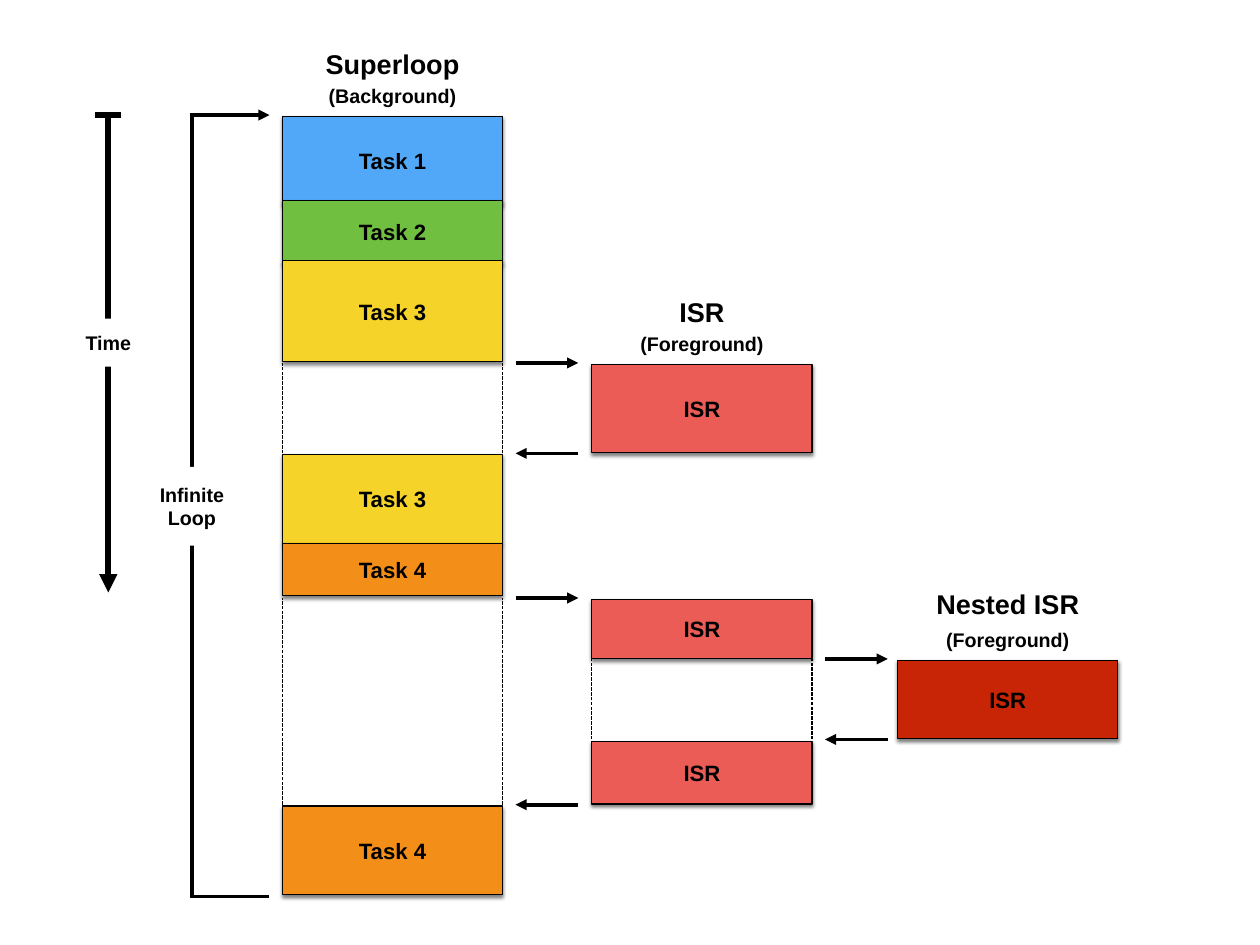
from dataclasses import dataclass

from lxml.etree import SubElement
from pptx import Presentation
from pptx.dml.color import RGBColor as RGB
from pptx.enum.dml import MSO_LINE as DASH
from pptx.enum.shapes import MSO_CONNECTOR as CONN, MSO_SHAPE as SHAPE
from pptx.enum.text import MSO_ANCHOR as ANCHOR, PP_ALIGN as ALIGN
from pptx.oxml.ns import qn
from pptx.util import Pt


@dataclass(frozen=True)
class Theme:
    font: str = "Arial"
    ink: str = "000000"
    paper: str = "FFFFFF"
    blue: str = "51A8F9"
    green: str = "70BF41"
    yellow: str = "F5D328"
    orange: str = "F38F18"
    red: str = "EC5C57"
    dark_red: str = "C82506"
    title: int = 22
    task: int = 18
    note: int = 16


theme = Theme()
prs = Presentation()
prs.slide_width, prs.slide_height = Pt(1024), Pt(768)
s = prs.slides.add_slide(prs.slide_layouts[6])


def add_label(x, y, w, h, text, size, fill=None):
    """Centred bold text, in a filled rectangle or a plain text box."""
    box = [Pt(v) for v in (x, y, w, h)]
    if fill:
        sp = s.shapes.add_shape(SHAPE.RECTANGLE, *box)
        sp.shadow.inherit = False
        sp.fill.solid()
        sp.fill.fore_color.rgb = RGB.from_string(fill)
        sp.line.fill.background()
    else:
        sp = s.shapes.add_textbox(*box)
    tf = sp.text_frame
    tf.word_wrap = True
    tf.vertical_anchor = ANCHOR.MIDDLE
    tf.margin_left = tf.margin_right = tf.margin_top = tf.margin_bottom = Pt(4)
    tf.text = text
    p = tf.paragraphs[0]
    p.alignment = ALIGN.CENTER
    font = p.runs[0].font
    font.name, font.size, font.bold = theme.font, Pt(size), True
    font.color.rgb = RGB.from_string(theme.ink)
    return sp


def add_line(x1, y1, x2, y2, width, arrow=False, dash=None):
    """Straight line; the arrowhead, if any, sits at the second point."""
    c = s.shapes.add_connector(CONN.STRAIGHT, Pt(x1), Pt(y1), Pt(x2), Pt(y2))
    c.line.width = Pt(width)
    c.line.color.rgb = RGB.from_string(theme.ink)
    if dash:
        c.line.dash_style = dash
    sp_pr = c.element.spPr
    if arrow:
        SubElement(sp_pr.find(qn("a:ln")), qn("a:tailEnd"), type="triangle")
    SubElement(sp_pr, qn("a:effectLst"))


# Columns: left edges and the shared block width
background, foreground, nested = 229.5, 481, 729.5
block_w = 179

# Task and ISR blocks: column, top, height, label, fill
blocks = [
    (background, 94.5, 72, "Task 1", theme.blue),
    (background, 163, 51, "Task 2", theme.green),
    (background, 212, 82, "Task 3", theme.yellow),
    (background, 369.5, 72, "Task 3", theme.yellow),
    (background, 441.5, 42.5, "Task 4", theme.orange),
    (background, 655, 72, "Task 4", theme.orange),
    (foreground, 296, 72, "ISR", theme.red),
    (foreground, 487, 48, "ISR", theme.red),
    (foreground, 602.5, 51, "ISR", theme.red),
    (nested, 536.5, 64, "ISR", theme.dark_red),
]
for x, y, h, text, fill in blocks:
    sp = add_label(x, y, block_w, h, text, theme.task, fill)
    sp.line.width = Pt(1)
    sp.line.color.rgb = RGB.from_string(theme.ink)
    effects = sp.element.spPr.find(qn("a:effectLst"))
    shadow = SubElement(effects, qn("a:outerShdw"), blurRad=str(Pt(3)),
                        dist=str(Pt(2)), dir="5400000", rotWithShape="0")
    color = SubElement(shadow, qn("a:srgbClr"), val=theme.ink)
    SubElement(color, qn("a:alpha"), val="50000")

# Column headings: column, title top, subtitle top, title, subtitle
headings = [
    (background, 32.5, 62, "Superloop", "(Background)"),
    (foreground, 233.5, 263.5, "ISR", "(Foreground)"),
    (nested, 471.5, 504, "Nested ISR", "(Foreground)"),
]
for x, title_y, sub_y, title, subtitle in headings:
    add_label(x, title_y, block_w, 39, title, theme.title)
    add_label(x, sub_y, block_w, 32, subtitle, theme.note)

# Interruptions: column, start, end; dotted sides, arrows out and back
interruptions = [
    (background, 295, 368.5),
    (background, 486, 654),
    (foreground, 535.5, 601),
]
for x, start, end in interruptions:
    right = x + block_w
    for side in (x, right):
        add_line(side, end, side, start, 1, dash=DASH.SQUARE_DOT)
    near, far = right + 10.5, right + 61.5
    add_line(near, start, far, start, 3, arrow=True)
    add_line(far, end, near, end, 3, arrow=True)

# Infinite loop bracket
loop_x, top, bottom = 156, 93.5, 728.5
add_line(loop_x - 1.5, top, 219, top, 3, arrow=True)
add_line(loop_x - 1.5, bottom, 219, bottom, 3)
add_line(loop_x, bottom, loop_x, top, 3)
add_label(loop_x - 48, 379.5, 96, 64, "Infinite Loop", theme.note, theme.paper)

# Time axis
time_x = 88
add_line(time_x, top, time_x, 481.5, 5, arrow=True)
add_label(time_x - 48, 259, 96, 39, "Time", theme.note, theme.paper)
add_line(time_x - 10.5, top, time_x + 10.5, top, 5)

prs.save("out.pptx")
